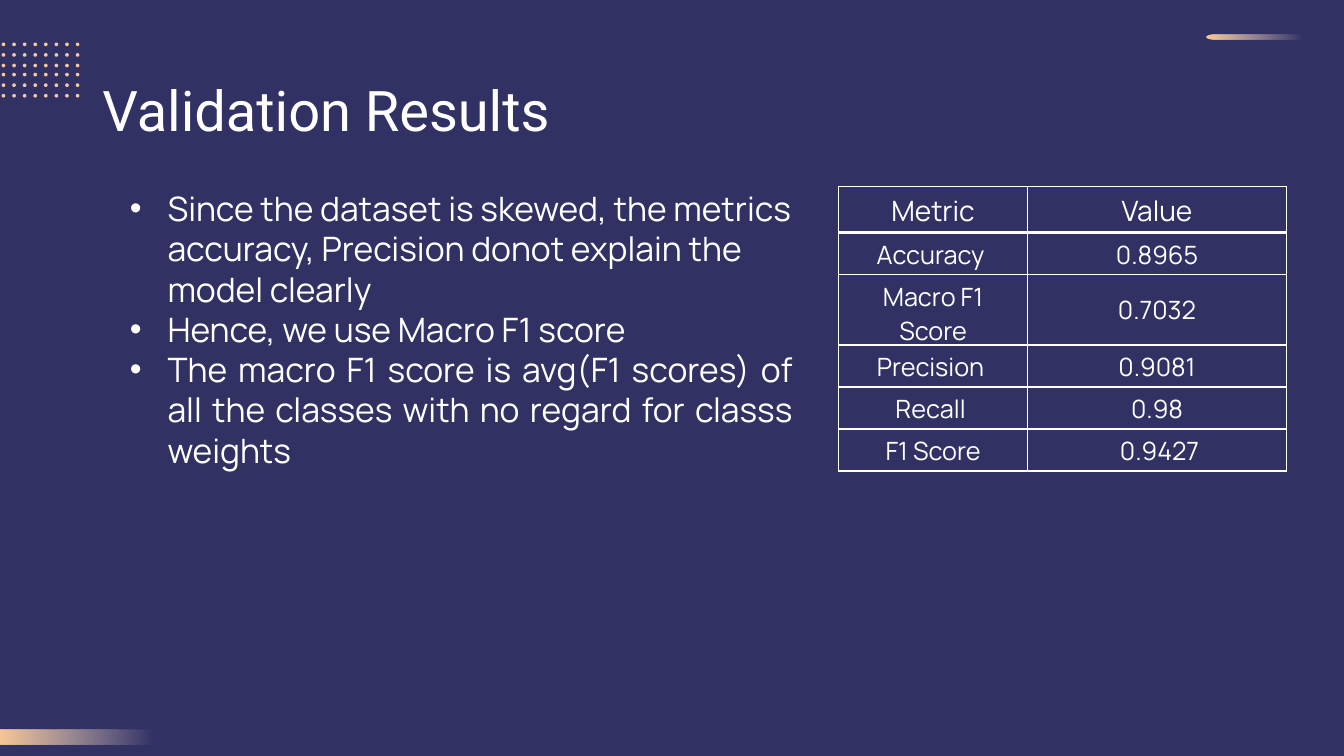
import math
from dataclasses import dataclass

from lxml import etree
from pptx import Presentation
from pptx.dml.color import RGBColor
from pptx.enum import shapes, text
from pptx.oxml import ns
from pptx.util import Pt


@dataclass(frozen=True)
class Theme:
    back: str = "323163"
    ink: str = "FFFFFF"
    glow: str = "FCC896"
    fade: str = "F7E7E1"
    dot: str = "F7C7A0"
    head: str = "Roboto"
    body: str = "Manrope"
    title: int = 40
    list: int = 24
    label: int = 20
    cell: int = 18


THEME = Theme()
POINTS = [
    "Since the dataset is skewed, the metrics accuracy, Precision donot explain the model clearly",
    "Hence, we use Macro F1 score",
    "The macro F1 score is avg(F1 scores) of all the classes with no regard for classs weights",
]
SCORES = [
    ("Metric", "Value"),
    ("Accuracy ", "0.8965"),
    ("Macro F1 Score", "0.7032"),
    ("Precision ", "0.9081"),
    ("Recall ", "0.98"),
    ("F1 Score", " 0.9427"),
]


def color(code):
    return RGBColor.from_string(code)


def place(shape, left, top, width, height):
    shape.left, shape.top = Pt(left), Pt(top)
    shape.width, shape.height = Pt(width), Pt(height)


def style(para, font, size):
    for run in para.runs:
        run.font.name = font
        run.font.size = Pt(size)
        run.font.color.rgb = color(THEME.ink)


def plain(shape):
    shape.shadow.inherit = False
    shape.line.fill.background()


# Decoration
def glow(shape):
    """Fill with the accent colour, fading out to the right."""
    plain(shape)
    shape.fill.gradient()
    shape.fill.gradient_angle = 0
    first, last = shape.fill.gradient_stops
    first.color.rgb, first.position = color(THEME.glow), 0
    last.color.rgb, last.position = color(THEME.fade), 0.7
    tint = shape._element.spPr.findall(".//" + ns.qn("a:srgbClr"))[-1]
    etree.SubElement(tint, ns.qn("a:alpha"), val="0")


def arc(x, y, wide, high, start, end, steps):
    turn = math.radians(end - start) / steps
    angles = [math.radians(start) + turn * i for i in range(steps + 1)]
    return [(Pt(x + wide * math.cos(a)), Pt(y + high * math.sin(a))) for a in angles]


def add_bar(slide):
    bar = slide.shapes.add_shape(
        shapes.MSO_SHAPE.RECTANGLE, Pt(-1.5), Pt(521.5), Pt(159), Pt(10))
    glow(bar)


def add_streak(slide):
    cap = arc(867.6, 26.4, 5.8, 1.9, 90, 270, 16)
    edge = [(Pt(960), cap[-1][1]), (Pt(960), cap[0][1])]
    pen = slide.shapes.build_freeform(*cap[0], scale=1.0)
    pen.add_line_segments(cap[1:] + edge, close=True)
    glow(pen.convert_to_shape())


def add_dots(slide, top, rows=3, cols=8, step=7.56, radius=1.3):
    pen = None
    for row in range(rows):
        for col in range(cols):
            ring = arc(2.5 + col * step, top + row * step, radius, radius, 0, 360, 12)
            if pen is None:
                pen = slide.shapes.build_freeform(*ring[0], scale=1.0)
            else:
                pen.move_to(*ring[0])
            pen.add_line_segments(ring[1:-1], close=True)
    dots = pen.convert_to_shape()
    plain(dots)
    dots.fill.solid()
    dots.fill.fore_color.rgb = color(THEME.dot)


# Text
def set_title(slide, words):
    title = slide.shapes.title
    place(title, 66, 28.75, 828, 104.4)
    title.text_frame.text = words
    title.text_frame.vertical_anchor = text.MSO_ANCHOR.MIDDLE
    para = title.text_frame.paragraphs[0]
    para.alignment = text.PP_ALIGN.LEFT
    para.line_spacing = 0.9
    style(para, THEME.head, THEME.title)


def set_list(slide, items):
    body = slide.placeholders[1]
    place(body, 85.5, 130.5, 488, 211)
    frame = body.text_frame
    frame.text = "\n".join(items)
    frame.word_wrap = True
    frame.auto_size = text.MSO_AUTO_SIZE.SHAPE_TO_FIT_TEXT
    for i, para in enumerate(frame.paragraphs):
        para.alignment = text.PP_ALIGN.JUSTIFY if i else text.PP_ALIGN.LEFT
        para.space_before = Pt(0)
        style(para, THEME.body, THEME.list)


# Table
def set_edge(cell, side, width):
    line = etree.SubElement(
        cell._tc.get_or_add_tcPr(), ns.qn("a:ln" + side), w=str(Pt(width)))
    fill = etree.SubElement(line, ns.qn("a:solidFill"))
    etree.SubElement(fill, ns.qn("a:srgbClr"), val=THEME.ink)


def add_scores(slide, rows):
    frame = slide.shapes.add_table(
        len(rows), 2, Pt(599), Pt(133), Pt(320), Pt(183))
    table = frame.table
    table.first_row = table.horz_banding = False
    for col, width in enumerate((135, 185)):
        table.columns[col].width = Pt(width)
    for r, row in enumerate(rows):
        table.rows[r].height = Pt(30 if r else 33)
        for c, words in enumerate(row):
            cell = table.cell(r, c)
            cell.text_frame.text = words
            para = cell.text_frame.paragraphs[0]
            para.alignment = text.PP_ALIGN.CENTER
            style(para, THEME.body, THEME.cell if r else THEME.label)
            if r and c:
                cell.vertical_anchor = text.MSO_ANCHOR.MIDDLE
            # The rule under the header is heavier
            for side in "LRTB":
                heavy = (r, side) in ((0, "B"), (1, "T"))
                set_edge(cell, side, 3 if heavy else 1)
            cell.fill.background()


def main():
    deck = Presentation()
    deck.slide_width, deck.slide_height = Pt(960), Pt(540)
    slide = deck.slides.add_slide(deck.slide_layouts[1])
    slide.background.fill.solid()
    slide.background.fill.fore_color.rgb = color(THEME.back)
    add_bar(slide)
    add_streak(slide)
    for top in (31.7, 53.3):
        add_dots(slide, top)
    set_title(slide, "Validation Results")
    add_scores(slide, SCORES)
    set_list(slide, POINTS)
    deck.save("out.pptx")


if __name__ == "__main__":
    main()
